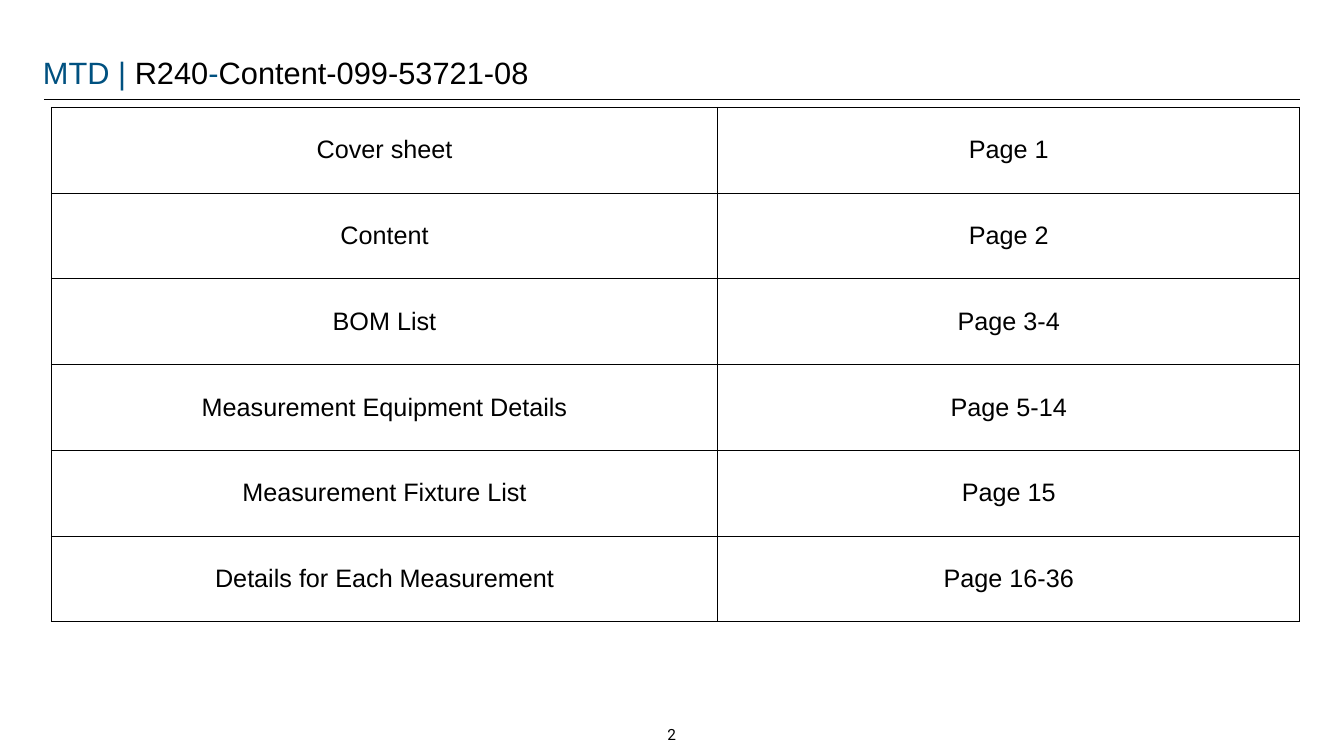
from dataclasses import dataclass
from typing import Any, NamedTuple

from lxml.etree import SubElement
from pptx import Presentation
from pptx.dml.color import RGBColor as Rgb
from pptx.enum.shapes import MSO_CONNECTOR as Link
from pptx.enum.text import MSO_ANCHOR as Anchor, MSO_AUTO_SIZE as Fit, PP_ALIGN as Align
from pptx.oxml import parse_xml
from pptx.oxml.ns import nsdecls, qn
from pptx.util import Cm, Pt


@dataclass(frozen=True)
class Theme:
    ink: str = "000000"
    blue: str = "005180"
    font: str = "Arial"
    num_font: str = "Roboto"
    head: int = 44
    cell: int = 36
    num: int = 22
    rule: float = 2
    edge: float = 1.5


class Box(NamedTuple):
    left: float
    top: float
    width: float
    height: float


class Entry(NamedTuple):
    name: str
    pages: str


THEME = Theme()
SLIDE = (67.74, 38.1)
TITLE = Box(2.01, 2.24, 26.72, 2.82)
RULE = Box(2.21, 5, 63.32, 0)
TABLE = Box(2.59, 5.41, 62.92, 25.93)
NUMBER = Box(33.2, 36.32, 1.3, 1.32)
COLS = (33.58, 29.34)

HEAD = [
    ("MTD | ", THEME.blue),
    ("R240", THEME.ink),
    ("-", THEME.blue),
    ("Content-099-53721-08", THEME.ink),
]
ENTRIES = [
    Entry("Cover sheet", "Page 1"),
    Entry("Content", "Page 2"),
    Entry("BOM List", "Page 3-4"),
    Entry("Measurement Equipment Details", "Page 5-14"),
    Entry("Measurement Fixture List", "Page 15"),
    Entry("Details for Each Measurement", "Page 16-36"),
]


def apply(item: Any, form: dict[str, Any]) -> None:
    for key, value in form.items():
        setattr(item, key, value)


def place(box: Box) -> list[Cm]:
    return [Cm(side) for side in box]


def pad(size: float) -> dict[str, Cm]:
    return {f"margin_{side}": Cm(size) for side in ("left", "top", "right", "bottom")}


def add_run(para: Any, text: str, size: int, color: str = THEME.ink,
            font: str = THEME.font) -> None:
    run = para.add_run()
    run.text = text
    apply(run.font, {"name": font, "size": Pt(size), "bold": False})
    run.font.color.rgb = Rgb.from_string(color)


def add_edges(cell: Any) -> None:
    props = cell._tc.get_or_add_tcPr()
    for spot, side in enumerate("LRTB"):
        props.insert(spot, parse_xml(
            f'<a:ln{side} {nsdecls("a")} w="{Pt(THEME.edge)}"><a:solidFill>'
            f'<a:srgbClr val="{THEME.ink}"/></a:solidFill></a:ln{side}>'))


def draw_title(slide: Any) -> None:
    title = slide.shapes.title
    apply(title, dict(zip(Box._fields, place(TITLE))))
    frame = title.text_frame
    apply(frame, {"auto_size": Fit.NONE, "word_wrap": True,
                  "vertical_anchor": Anchor.MIDDLE, **pad(0.15)})
    para = frame.paragraphs[0]
    para.alignment = Align.LEFT
    for text, color in HEAD:
        add_run(para, text, THEME.head, color)


def draw_rule(slide: Any) -> None:
    left, top, width, _ = place(RULE)
    rule = slide.shapes.add_connector(Link.STRAIGHT, left, top, left + width, top)
    rule.line.color.rgb = Rgb.from_string(THEME.ink)
    rule.line.width = Pt(THEME.rule)
    SubElement(rule._element.spPr, qn("a:effectLst"))


def draw_table(slide: Any) -> None:
    table = slide.shapes.add_table(len(ENTRIES), len(COLS), *place(TABLE)).table
    apply(table, {"first_row": False, "horz_banding": False})
    for col, width in zip(table.columns, COLS):
        col.width = Cm(width)
    for row, entry in zip(table.rows, ENTRIES):
        row.height = Cm(TABLE.height / len(ENTRIES))
        for cell, text in zip(row.cells, entry):
            apply(cell, {"vertical_anchor": Anchor.MIDDLE, **pad(0.08)})
            cell.fill.background()
            add_edges(cell)
            para = cell.text_frame.paragraphs[0]
            para.alignment = Align.CENTER
            add_run(para, text, THEME.cell)


def draw_number(slide: Any) -> None:
    frame = slide.shapes.add_textbox(*place(NUMBER)).text_frame
    apply(frame, {"word_wrap": False, "auto_size": Fit.SHAPE_TO_FIT_TEXT, **pad(0.2)})
    para = frame.paragraphs[0]
    para.alignment = Align.CENTER
    add_run(para, "2", THEME.num, font=THEME.num_font)


def main() -> None:
    deck = Presentation()
    deck.slide_width, deck.slide_height = (Cm(side) for side in SLIDE)
    slide = deck.slides.add_slide(deck.slide_layouts[5])  # title only

    # Heading with its rule
    draw_title(slide)
    draw_rule(slide)

    # Contents and page number
    draw_table(slide)
    draw_number(slide)
    deck.save("out.pptx")


if __name__ == "__main__":
    main()
